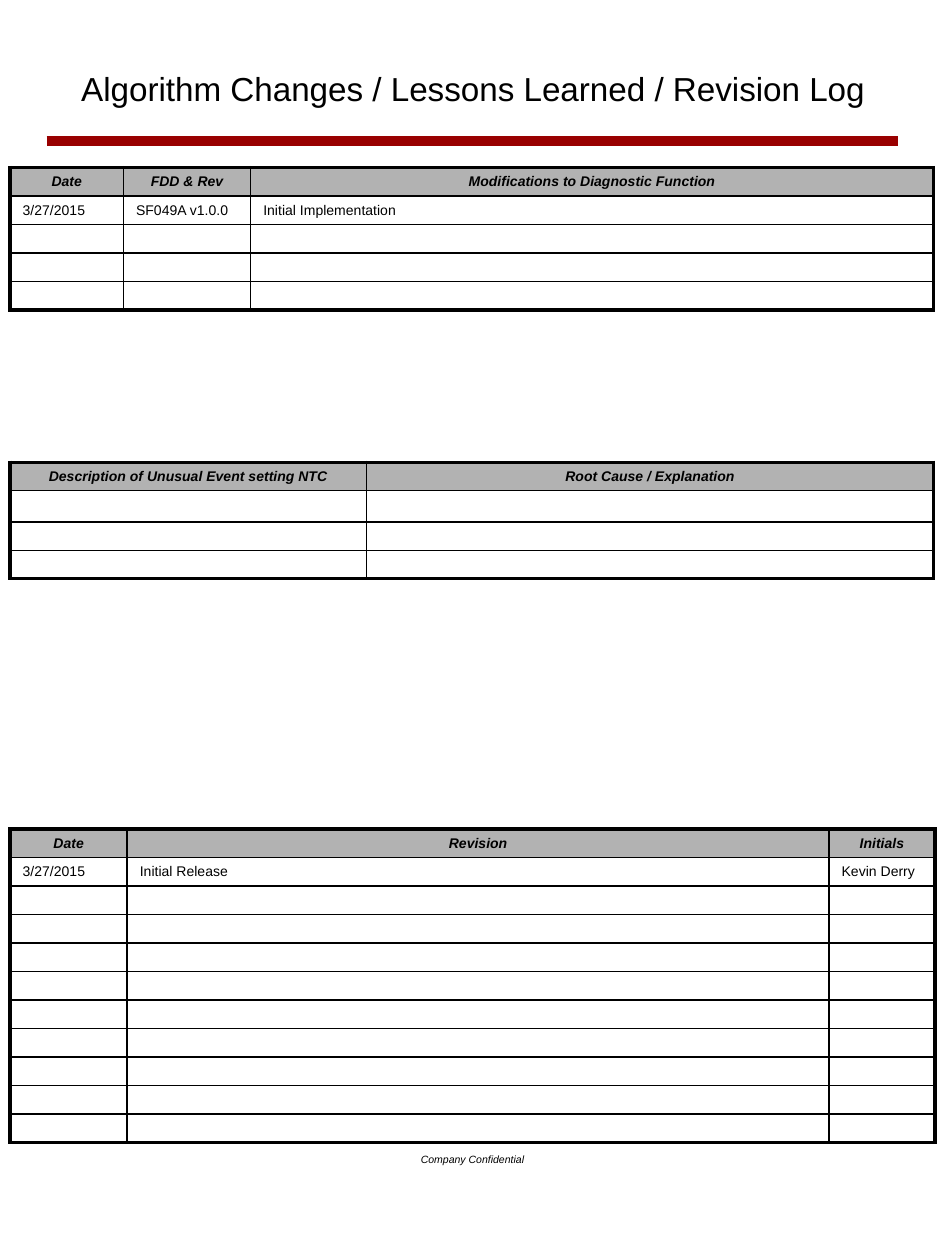
from lxml.etree import SubElement
from pptx import Presentation
from pptx.dml.color import RGBColor
from pptx.enum.shapes import MSO_CONNECTOR
from pptx.enum.text import MSO_ANCHOR, PP_ALIGN
from pptx.oxml.ns import qn
from pptx.util import Inches, Pt

COLORS = {"text": "000000", "border": "000000", "header": "B2B2B2", "rule": "990000"}
COLUMNS, ROWS = 75, 100
THICK, THIN = 2.25, 1


def color(name):
    """Return a named colour."""
    return RGBColor.from_string(COLORS[name])


def write(frame, text, size=8, bold=False, italic=False, align=PP_ALIGN.LEFT,
          anchor=MSO_ANCHOR.MIDDLE):
    """Put formatted text into a text frame."""
    frame.word_wrap = True
    frame.vertical_anchor = anchor
    paragraph = frame.paragraphs[0]
    paragraph.alignment = align
    paragraph.font.size = Pt(size)
    if text:
        run = paragraph.add_run()
        run.text = text
        font = run.font
        font.name, font.size, font.bold, font.italic = "Arial", Pt(size), bold, italic
        font.color.rgb = color("text")


def set_borders(cell, widths):
    """Draw the left, right, top and bottom border of a cell."""
    properties = cell._tc.get_or_add_tcPr()
    for side, width in zip("LRTB", widths):
        line = SubElement(properties, qn(f"a:ln{side}"), w=str(Pt(width)))
        fill = SubElement(line, qn("a:solidFill"))
        SubElement(fill, qn("a:srgbClr"), val=COLORS["border"])


class LogPage:
    """One slide, measured in grid columns and rows."""

    def __init__(self, presentation):
        """Add a blank slide and work out its grid."""
        self.slide = presentation.slides.add_slide(presentation.slide_layouts[6])
        self.column = presentation.slide_width / COLUMNS
        self.row = presentation.slide_height / ROWS

    def place(self, left, top, width, height):
        """Turn grid units into lengths."""
        return (round(left * self.column), round(top * self.row),
                round(width * self.column), round(height * self.row))

    def text(self, box, text, **style):
        """Add a centred text box."""
        frame = self.slide.shapes.add_textbox(*self.place(*box)).text_frame
        frame.margin_left = frame.margin_right = Inches(0.08)
        frame.margin_top = frame.margin_bottom = Inches(0.04)
        write(frame, text, align=PP_ALIGN.CENTER, **style)

    def rule(self, start, end, row, width):
        """Add a horizontal line."""
        line = self.slide.shapes.add_connector(
            MSO_CONNECTOR.STRAIGHT, *self.place(start, row, end, row))
        line.line.color.rgb = color("rule")
        line.line.width = Pt(width)
        SubElement(line._element.spPr, qn("a:effectLst"))

    def table(self, top, widths, heights, header, entry=()):
        """Add a log table with a shaded header and an optional first entry."""
        box = self.place(0.8, top, sum(widths), sum(heights))
        table = self.slide.shapes.add_table(len(heights), len(widths), *box).table
        for column, width in zip(table.columns, widths):
            column.width = round(width * self.column)
        for row, height in zip(table.rows, heights):
            row.height = round(height * self.row)
        last_row, last_column = len(heights) - 1, len(widths) - 1
        contents = {0: header, 1: entry}
        for r in range(len(heights)):
            texts = contents.get(r) or [""] * len(widths)
            for c, text in enumerate(texts):
                cell = table.cell(r, c)
                outer = (c == 0, c == last_column, r == 0, r == last_row)
                set_borders(cell, [THICK if edge else THIN for edge in outer])
                self.fill_cell(cell, text, is_header=r == 0)

    def fill_cell(self, cell, text, is_header):
        """Set the shading and text of a table cell."""
        cell.margin_top = cell.margin_bottom = Inches(0.03)
        cell.vertical_anchor = MSO_ANCHOR.MIDDLE
        if is_header:
            cell.fill.solid()
            cell.fill.fore_color.rgb = color("header")
        else:
            cell.fill.background()
        write(cell.text_frame, text, bold=is_header, italic=is_header,
              align=PP_ALIGN.CENTER if is_header else PP_ALIGN.LEFT)


def main():
    """Build the revision log slide."""
    presentation = Presentation()
    presentation.slide_width, presentation.slide_height = Inches(7.5), Inches(10)
    page = LogPage(presentation)
    page.rule(3.7, 71.3, 11.2, width=6)
    page.text((25.6, 91.1, 23.8, 6.9), "Company Confidential", size=6, italic=True,
              anchor=MSO_ANCHOR.TOP)
    page.table(65.8, (9.3, 55.7, 8.4), [2.26] * 11, ("Date", "Revision", "Initials"),
               ("3/27/2015", "Initial Release", "Kevin Derry"))
    page.table(36.7, (28.3, 45), (2.24, 2.5, 2.24, 2.24),
               ("Description of Unusual Event setting NTC", "Root Cause / Explanation"))
    page.table(13.3, (9, 10.1, 54.2), [2.26] * 5,
               ("Date", "FDD & Rev", "Modifications to Diagnostic Function"),
               ("3/27/2015", "SF049A v1.0.0", "Initial Implementation"))
    page.text((3.8, 4, 67.5, 6), "Algorithm Changes / Lessons Learned / Revision Log", size=19)
    presentation.save("out.pptx")


main()
